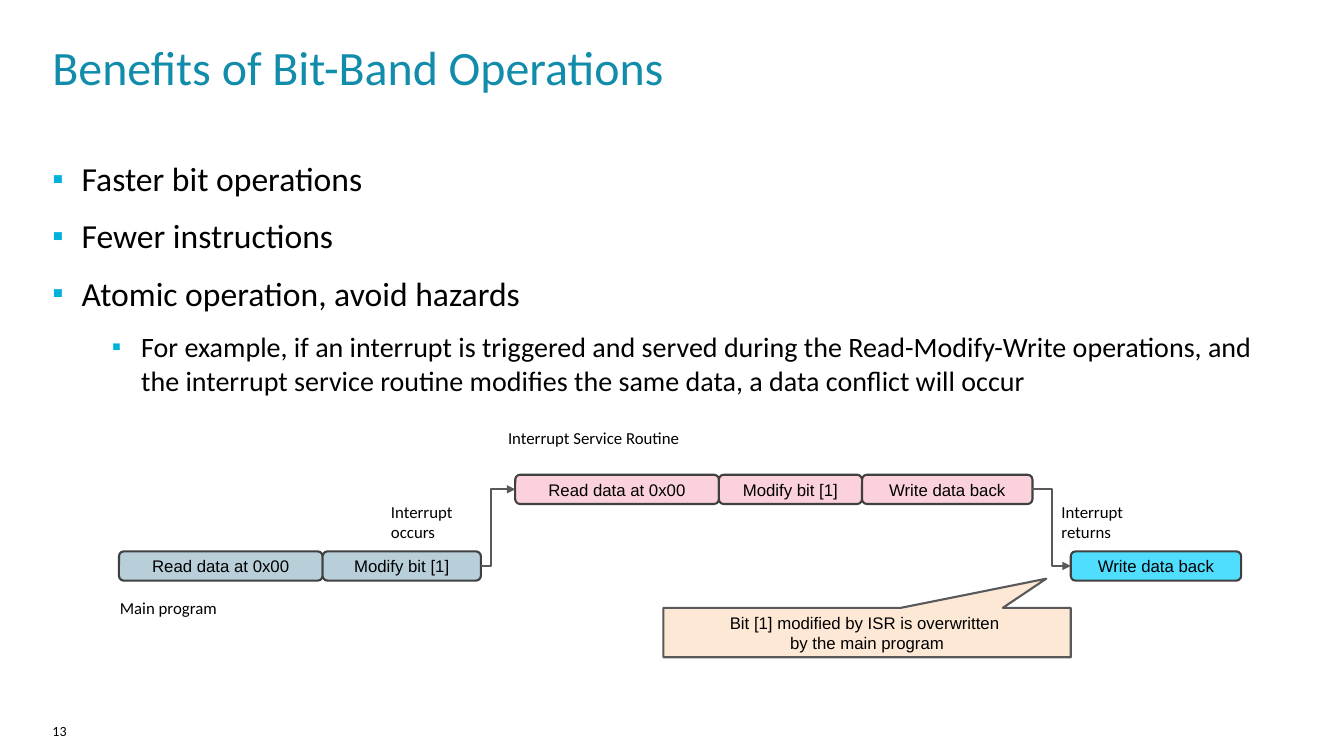
from pptx import Presentation
from pptx.dml.color import RGBColor
from pptx.enum.shapes import MSO_CONNECTOR, MSO_SHAPE
from pptx.enum.text import MSO_ANCHOR, MSO_AUTO_SIZE, PP_ALIGN
from pptx.oxml.ns import qn
from pptx.util import Inches, Pt
from lxml.etree import SubElement

BLACK = RGBColor(0x00, 0x00, 0x00)
TEAL = RGBColor(0x12, 0x8C, 0xAB)
BLUE = RGBColor(0xB8, 0xCF, 0xDA)
PINK = RGBColor(0xFB, 0xD1, 0xDC)
CYAN = RGBColor(0x50, 0xDE, 0xFF)
CREAM = RGBColor(0xFD, 0xE8, 0xD6)
DARK = RGBColor(0x40, 0x40, 0x40)
GRAY = RGBColor(0x59, 0x59, 0x59)
MARK = "00B1DB"
STEP = 0.29  # height of a step block and indent of a bullet

BULLETS = [
    ("Faster bit operations", 0),
    ("Fewer instructions", 0),
    ("Atomic operation, avoid hazards", 0),
    ("For example, if an interrupt is triggered and served during the "
     "Read-Modify-Write operations, and the interrupt service routine "
     "modifies the same data, a data conflict will occur", 1),
]


def write(para, text, size, font="Calibri", color=BLACK):
    run = para.add_run()
    run.text = text
    run.font.size = Pt(size)
    run.font.name = font
    run.font.color.rgb = color


def place(shape, box):
    shape.left, shape.top, shape.width, shape.height = map(Inches, box)


def trim(frame, right=0):
    frame.margin_left = frame.margin_top = frame.margin_bottom = 0
    frame.margin_right = Inches(right)
    frame.vertical_anchor = MSO_ANCHOR.TOP
    frame.auto_size = MSO_AUTO_SIZE.NONE
    frame.word_wrap = True


def add_title(slide, box):
    title = slide.shapes.title
    place(title, box)
    trim(title.text_frame)
    para = title.text_frame.paragraphs[0]
    para.alignment = PP_ALIGN.LEFT
    write(para, "Benefits of Bit-Band Operations", 34.2, color=TEAL)


def add_bullet(para, level):
    props = para._p.get_or_add_pPr()
    props.set("marL", str(Inches(0.88 if level else STEP)))
    props.set("indent", str(-Inches(STEP)))
    color = SubElement(props, qn("a:buClr"))
    SubElement(color, qn("a:srgbClr"), val=MARK)
    SubElement(props, qn("a:buSzPct"), val="95000")
    SubElement(props, qn("a:buFont"), typeface="Arial")
    SubElement(props, qn("a:buChar"), char="▪")


def add_list(slide, box):
    body = slide.placeholders[1]
    place(body, box)
    frame = body.text_frame
    trim(frame)
    for i, (text, level) in enumerate(BULLETS):
        para = frame.add_paragraph() if i else frame.paragraphs[0]
        para.level = level
        para.space_before = Pt(12 if i else 0)
        add_bullet(para, level)
        write(para, text, 20 if level else 24)


def add_label(slide, text, box, size=12):
    label = slide.shapes.add_textbox(*map(Inches, box))
    label.text_frame.word_wrap = True
    write(label.text_frame.paragraphs[0], text, size)
    return label


def add_block(slide, kind, lines, box, fill, line):
    block = slide.shapes.add_shape(kind, *map(Inches, box))
    block.shadow.inherit = False
    block.fill.solid()
    block.fill.fore_color.rgb = fill
    block.line.color.rgb = line
    block.line.width = Pt(1.5)
    frame = block.text_frame
    frame.word_wrap = False
    frame.vertical_anchor = MSO_ANCHOR.MIDDLE
    for i, text in enumerate(lines):
        para = frame.add_paragraph() if i else frame.paragraphs[0]
        para.alignment = PP_ALIGN.CENTER
        write(para, text, 12, "Arial")
    return block


def add_row(slide, left, top, steps, fill):
    """Steps laid end to end; gives back the first and last block."""
    blocks = []
    for text, width in steps:
        blocks.append(add_block(slide, MSO_SHAPE.ROUNDED_RECTANGLE, [text],
                                (left, top, width, STEP), fill, DARK))
        left += width
    return blocks[0], blocks[-1]


def add_jump(slide, source, target, bend):
    """Elbow arrow from the right side of source to the left of target."""
    jump = slide.shapes.add_connector(MSO_CONNECTOR.ELBOW, 0, 0, 0, 0)
    jump.begin_connect(source, 3)
    jump.end_connect(target, 1)
    jump.line.color.rgb = GRAY
    jump.line.width = Pt(1.5)
    SubElement(jump.line._get_or_add_ln(), qn("a:tailEnd"), type="triangle")
    props = jump._element.spPr
    SubElement(props, qn("a:effectLst"))
    guides = props.find(qn("a:prstGeom")).get_or_add_avLst()
    SubElement(guides, qn("a:gd"), name="adj1", fmla=f"val {int(bend * 100000)}")


def add_flow(slide, left, top):
    high, low = top + 0.52, top + 1.28
    read, back = ("Read data at 0x00", 2.02), ("Write data back", 1.69)
    bit = "Modify bit [1]"

    # Program rows
    _, stop = add_row(slide, left + 0.09, low, [read, (bit, 1.57)], BLUE)
    first, last = add_row(slide, left + 4.02, high,
                          [read, (bit, 1.42), back], PINK)
    resume, _ = add_row(slide, left + 9.53, low, [back], CYAN)

    # Jumps in and out of the interrupt
    add_jump(slide, stop, first, 0.3)
    add_jump(slide, last, resume, 0.5)

    # Labels
    for text, x, y, width, height in [
            ("Interrupt Service Routine", 3.85, 0, 2.89, 0.3),
            ("Interrupt occurs", 2.69, 0.74, 1.27, 0.5),
            ("Interrupt returns", 9.34, 0.74, 1.27, 0.5),
            ("Main program", 0, 1.69, 2.89, 0.3)]:
        add_label(slide, text, (left + x, top + y, width, height))

    # Callout on the conflict
    note = add_block(slide, MSO_SHAPE.RECTANGULAR_CALLOUT,
                     ["Bit [1] modified by ISR is overwritten ",
                      "by the main program"],
                     (left + 5.49, top + 1.84, 4.04, 0.49), CREAM, GRAY)
    note.adjustments[0], note.adjustments[1] = 0.44, -1.09


def add_number(slide, box):
    label = add_label(slide, "13", box, 10)
    trim(label.text_frame, 0.1)


def main():
    deck = Presentation()
    deck.slide_width, deck.slide_height = Inches(13.33), Inches(7.5)
    slide = deck.slides.add_slide(deck.slide_layouts[1])
    add_title(slide, (0.52, 0.37, 12.2, 0.63))
    add_list(slide, (0.52, 1.57, 12.2, 5.12))
    add_flow(slide, 1.09, 4.19)
    add_number(slide, (0.52, 7.17, 1.42, 0.26))
    deck.save("out.pptx")


if __name__ == "__main__":
    main()
